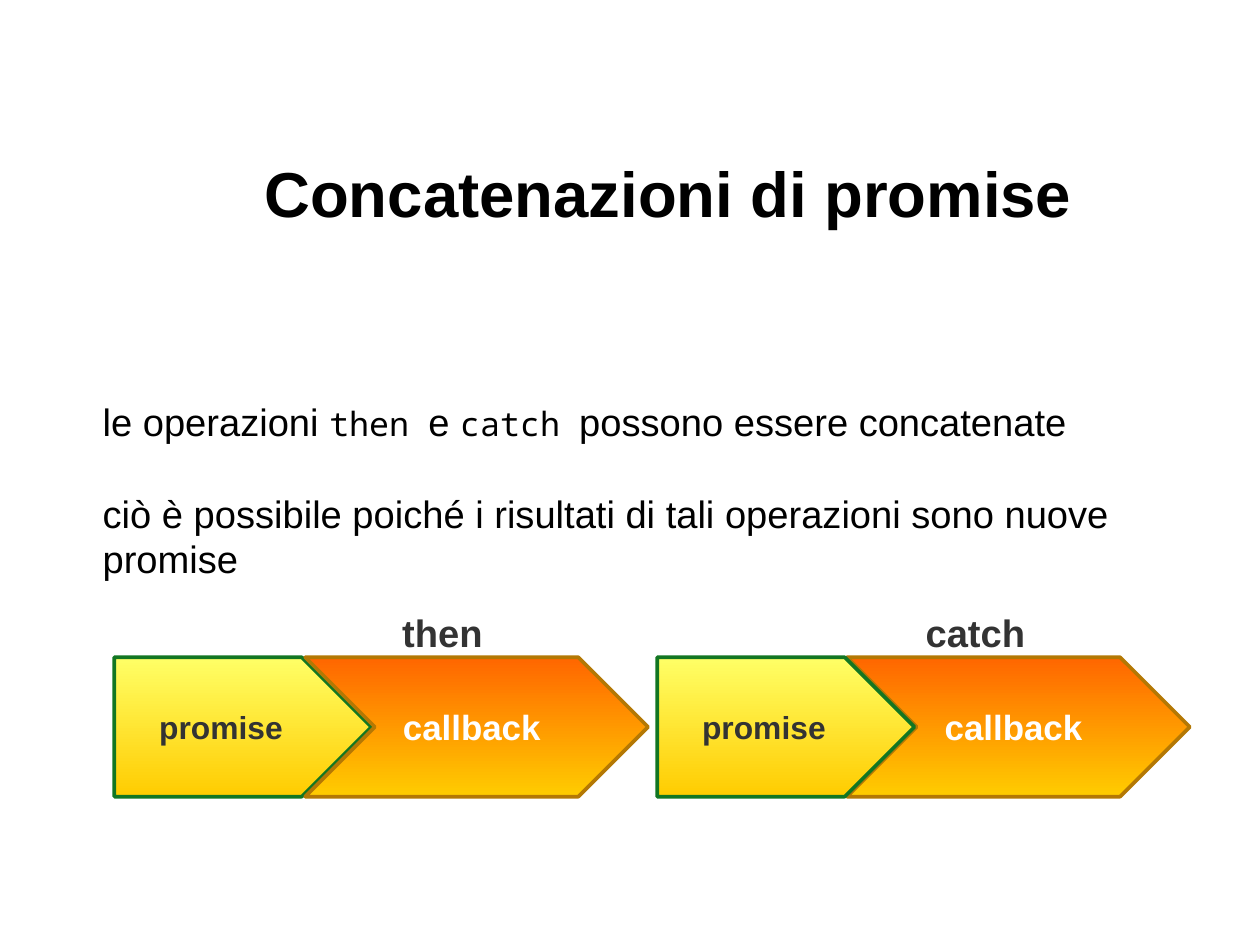
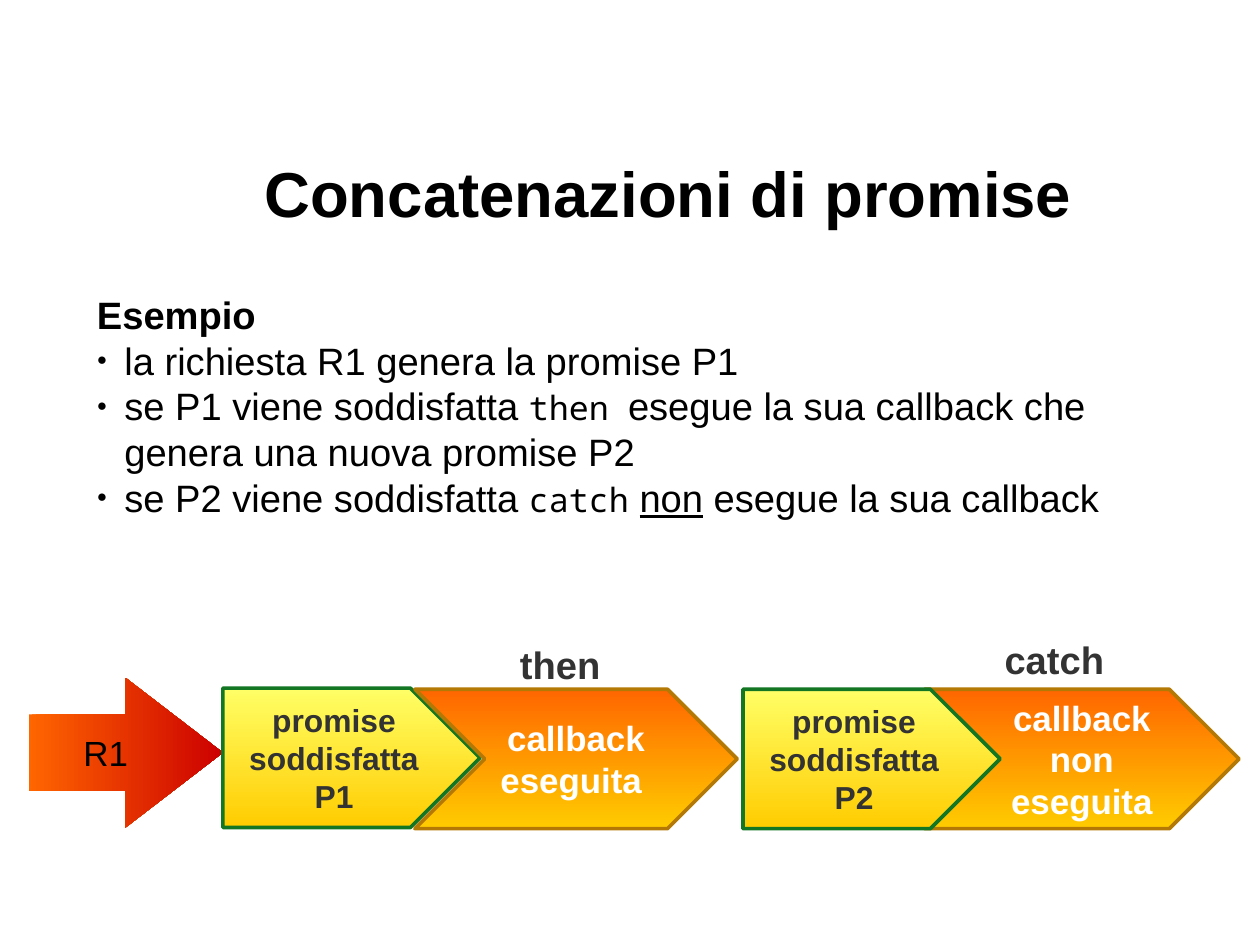
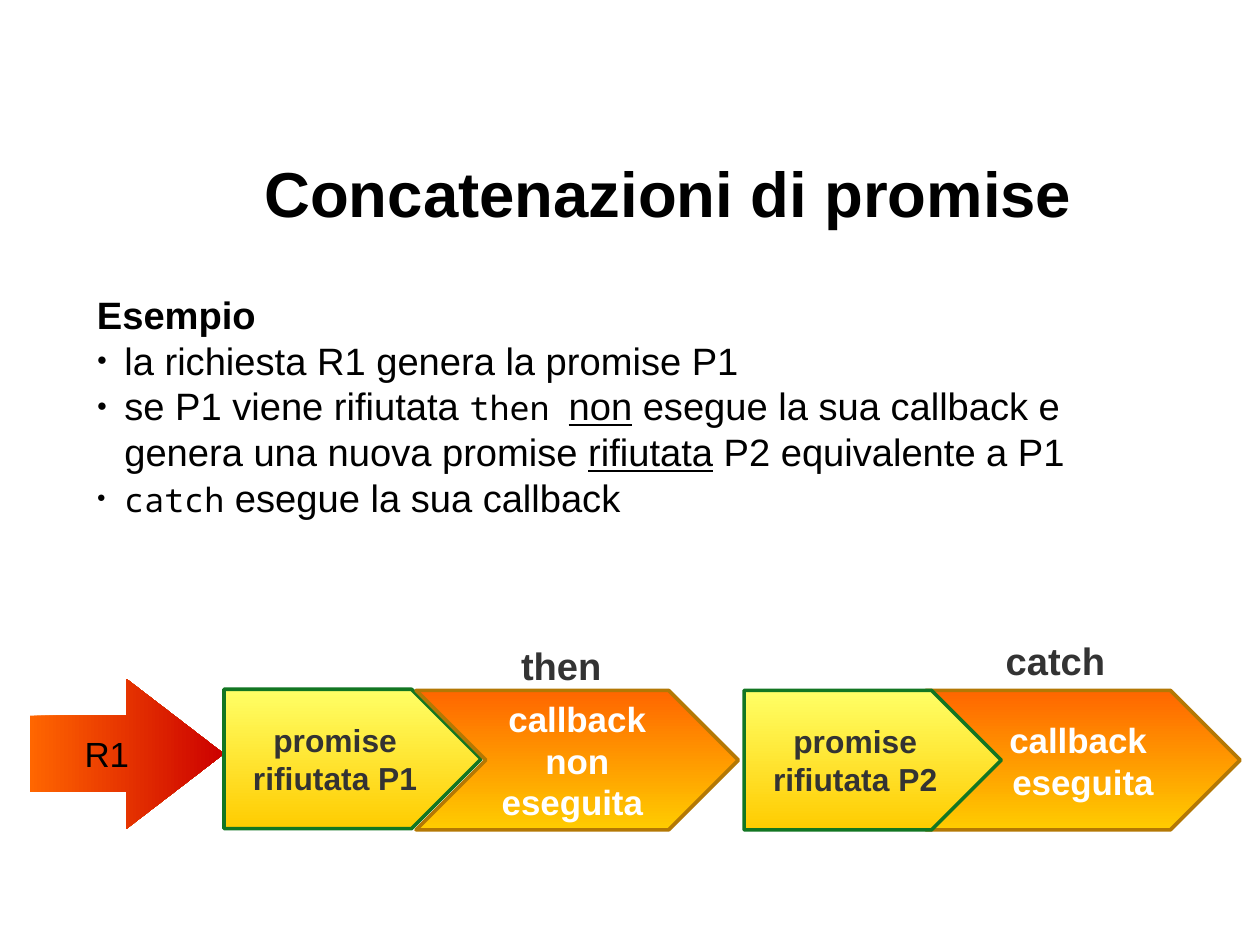
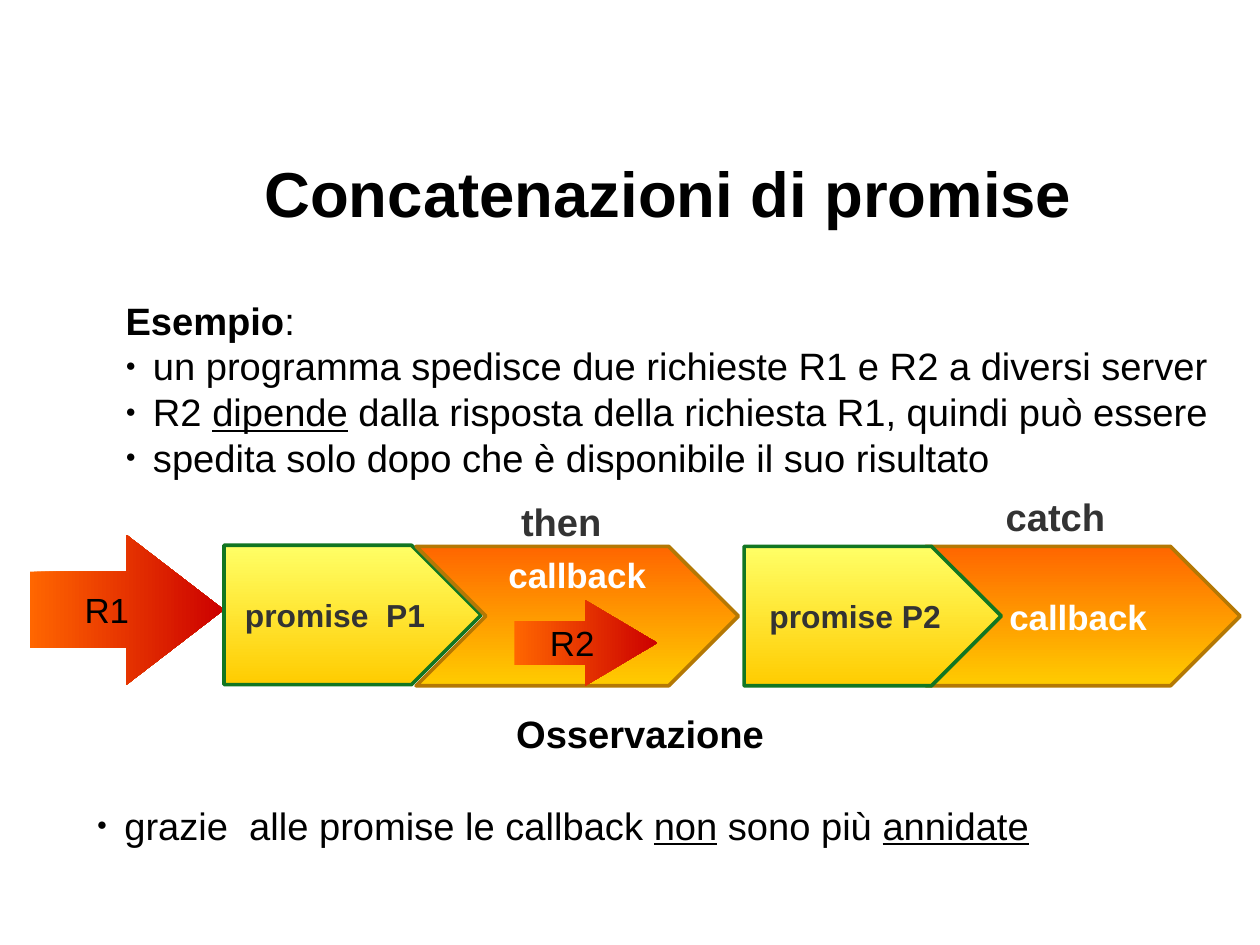
"""Build four slides that explain how promises are chained."""
from lxml.etree import SubElement
from pptx import Presentation
from pptx.dml.color import RGBColor
from pptx.enum.shapes import MSO_SHAPE
from pptx.enum.text import MSO_ANCHOR, PP_ALIGN
from pptx.oxml.ns import qn
from pptx.util import Pt

COLORS = {
    "black": "000000", "white": "FFFFFF", "grey": "333333",
    "lemon": "FFFF66", "gold": "FFCC00", "orange": "FF6600",
    "red": "CC0000", "green": "127622", "brown": "B47804",
}
SANS, MONO = "Arial", "Noto Sans Mono"
TITLE = "Concatenazioni di promise"
BLANK_LINE = 28.7
BULLET_INDENT = 17.28
BODY_WIDTH = 698.4
BODY_MARGINS = (7.2, 3.6, 7.2, 3.6)
ARROW_MARGINS = (7.92, 4.32, 7.92, 4.32)

ARROWS = {
    "promise": {"preset": MSO_SHAPE.PENTAGON, "stops": ("lemon", "gold"), "angle": 270,
                "line": "green", "height": 87.84,
                "text": {"size": 20, "color": "grey", "bold": True}},
    "callback": {"preset": MSO_SHAPE.CHEVRON, "stops": ("orange", "gold"), "angle": 270,
                 "line": "brown", "height": 87.84,
                 "text": {"size": 22, "color": "white", "bold": True}},
    "request": {"preset": MSO_SHAPE.RIGHT_ARROW, "stops": ("orange", "red"), "angle": 0,
                "line": None, "height": 94.32,
                "text": {"size": 22, "color": "black", "bold": False}},
}

SHORT_CHAIN = [
    ("promise", 0, 0, 162), ("callback", 120.24, 0, 216), ("label", 174.24, -33.84, 90),
    ("callback", 461.52, 0, 216), ("label", 504, -33.84, 90), ("promise", 342, 0, 162),
]
REQUEST_CHAIN = [
    ("request", 0, 0, 122.4), ("promise", 122.4, 6.48, 162),
    ("callback", 243.36, 7.2, 203.04), ("label", 302.4, -26.64, 90),
    ("callback", 564.48, 7.2, 198), ("label", 607.68, -29.52, 82.8),
    ("promise", 450, 7.2, 162),
]

SLIDES = [
    {
        "body_at": (57.6, 247.68, 274.32),
        "body": [
            ("plain", "le operazioni ", ("then", "code"), (" ", "code gap"), "e ",
             ("catch", "code"), (" ", "code gap"), "possono essere concatenate"),
            ("spaced", "ciò è possibile poiché i risultati di tali operazioni sono nuove promise"),
        ],
        "chain": SHORT_CHAIN,
        "origin": (72, 414),
        "texts": [["promise "], ["callback "], ["then"], ["callback "], ["catch"], ["promise "]],
    },
    {
        "body_at": (54, 180, 167.76),
        "body": [
            ("plain", ("Esempio", "bold")),
            ("bullet", "la richiesta R1 genera la promise P1"),
            ("bullet", "se P1 viene soddisfatta ", ("then", "code"), (" ", "code gap"),
             "esegue la sua callback che genera una nuova promise P2"),
            ("bullet", "se P2 viene soddisfatta ", ("catch", "code"), " ",
             ("non", "underline"), " esegue la sua callback"),
        ],
        "chain": REQUEST_CHAIN,
        "origin": (18, 426.96),
        "texts": [[" R1"], ["promise soddisfatta P1"], ["callback", "eseguita "], ["then"],
                  ["callback non eseguita"], ["catch"], ["promise", "soddisfatta P2"]],
    },
    {
        "body_at": (54, 180, 187.92),
        "body": [
            ("plain", ("Esempio", "bold")),
            ("bullet", "la richiesta R1 genera la promise P1"),
            ("bullet", "se P1 viene rifiutata ", ("then", "code"), (" ", "code gap"),
             ("non", "underline"), " esegue la sua callback e genera una nuova promise ",
             ("rifiutata", "underline"), " P2 equivalente a P1"),
            ("bullet", ("catch", "code"), " esegue la sua callback"),
        ],
        "chain": REQUEST_CHAIN,
        "origin": (18.72, 427.68),
        "texts": [[" R1"], ["promise rifiutata P1"], ["callback", "non eseguita "], ["then"],
                  ["callback ", "eseguita"], ["catch"], ["promise", "rifiutata P2"]],
    },
    {
        "body_at": (72, 183.6, 167.76),
        "body": [
            ("plain", ("Esempio", "bold"), ":"),
            ("bullet", "un programma spedisce due richieste R1 e R2 a diversi server"),
            ("bullet", "R2 ", ("dipende", "underline"),
             " dalla risposta della richiesta R1, quindi può essere"),
            ("bullet", "spedita solo dopo che è disponibile il suo risultato"),
        ],
        "chain": REQUEST_CHAIN,
        "origin": (18.72, 336.96),
        "texts": [[" R1"], ["promise  P1"], ["callback"], ["then"],
                  ["callback "], ["catch"], ["promise P2"]],
    },
]


def write(shape, paragraphs, size=24, color="black", bold=False, align=PP_ALIGN.LEFT,
          anchor=MSO_ANCHOR.TOP, margins=BODY_MARGINS, line_spacing=None):
    code_sizes = {"code": 21, "code gap": 20}
    frame = shape.text_frame
    frame.word_wrap = True
    frame.vertical_anchor = anchor
    frame.margin_left, frame.margin_top, frame.margin_right, frame.margin_bottom = map(Pt, margins)
    for index, (kind, *runs) in enumerate(paragraphs):
        paragraph = frame.add_paragraph() if index else frame.paragraphs[0]
        paragraph.alignment = PP_ALIGN.CENTER if kind == "centered" else align
        if line_spacing:
            paragraph.line_spacing = line_spacing
        if kind.startswith("spaced"):
            paragraph.space_before = Pt(BLANK_LINE)
        if kind.endswith("bullet"):
            properties = paragraph._p.get_or_add_pPr()
            properties.set("marL", str(Pt(BULLET_INDENT)))
            properties.set("indent", str(-Pt(BULLET_INDENT)))
            bullet_color = SubElement(properties, qn("a:buClr"))
            SubElement(bullet_color, qn("a:srgbClr"), val=COLORS["black"])
            SubElement(properties, qn("a:buSzPct"), val="45000")
            SubElement(properties, qn("a:buFont"), typeface=SANS)
            SubElement(properties, qn("a:buChar"), char="●")
        for item in runs:
            text, style = (item, "") if isinstance(item, str) else item
            run = paragraph.add_run()
            run.text = text
            run.font.name = MONO if style in code_sizes else SANS
            run.font.size = Pt(code_sizes.get(style, size))
            run.font.bold = bold or style == "bold"
            run.font.underline = True if style == "underline" else None
            run.font.color.rgb = RGBColor.from_string(COLORS[color])


def add_arrow(slide, kind, left, top, width, height, texts, anchor=MSO_ANCHOR.MIDDLE):
    look = ARROWS[kind]
    shape = slide.shapes.add_shape(look["preset"], Pt(left), Pt(top), Pt(width), Pt(height))
    shape.shadow.inherit = False
    shape.fill.gradient()
    shape.fill.gradient_angle = look["angle"]
    for stop, color in zip(shape.fill.gradient_stops, look["stops"]):
        stop.color.rgb = RGBColor.from_string(COLORS[color])
    if look["line"]:
        shape.line.color.rgb = RGBColor.from_string(COLORS[look["line"]])
        shape.line.width = Pt(2.3)
    else:
        shape.line.fill.background()
    write(shape, [("plain", text) for text in texts], align=PP_ALIGN.CENTER,
          anchor=anchor, margins=ARROW_MARGINS, **look["text"])
    return shape


presentation = Presentation()
presentation.slide_width = Pt(793.7)
presentation.slide_height = Pt(595.28)

for content in SLIDES:
    slide = presentation.slides.add_slide(presentation.slide_layouts[6])
    title = slide.shapes.add_textbox(Pt(90.72), Pt(100.08), Pt(660.24), Pt(44.64))
    write(title, [("plain", TITLE)], size=40, bold=True, align=PP_ALIGN.CENTER,
          anchor=MSO_ANCHOR.MIDDLE, margins=(0, 2.88, 0, 0), line_spacing=0.93)

    left, top, height = content["body_at"]
    body = slide.shapes.add_textbox(Pt(left), Pt(top), Pt(BODY_WIDTH), Pt(height))
    write(body, content["body"])

    origin_left, origin_top = content["origin"]
    for (kind, left, top, width), texts in zip(content["chain"], content["texts"]):
        left, top = origin_left + left, origin_top + top
        if kind == "label":
            label = slide.shapes.add_textbox(Pt(left), Pt(top), Pt(width), Pt(33.84))
            write(label, [("plain", text) for text in texts], color="grey", bold=True)
            continue
        holds_request = content is SLIDES[-1] and texts == ["callback"]
        anchor = MSO_ANCHOR.TOP if holds_request else MSO_ANCHOR.MIDDLE
        arrow = add_arrow(slide, kind, left, top, width, ARROWS[kind]["height"], texts, anchor)
        if kind == "request":
            arrow.adjustments[0], arrow.adjustments[1] = 0.51, 0.65

second_request = add_arrow(slide, "request", 324, 378, 90, 54, [" R2"])
second_request.adjustments[0], second_request.adjustments[1] = 0.51, 0.84

remark = slide.shapes.add_textbox(Pt(54), Pt(444.24), Pt(BODY_WIDTH), Pt(113.76))
write(remark, [
    ("centered", ("Osservazione", "bold")),
    ("spaced bullet", "grazie  alle promise le callback ", ("non", "underline"),
     " sono più ", ("annidate", "underline")),
])

presentation.save("out.pptx")
